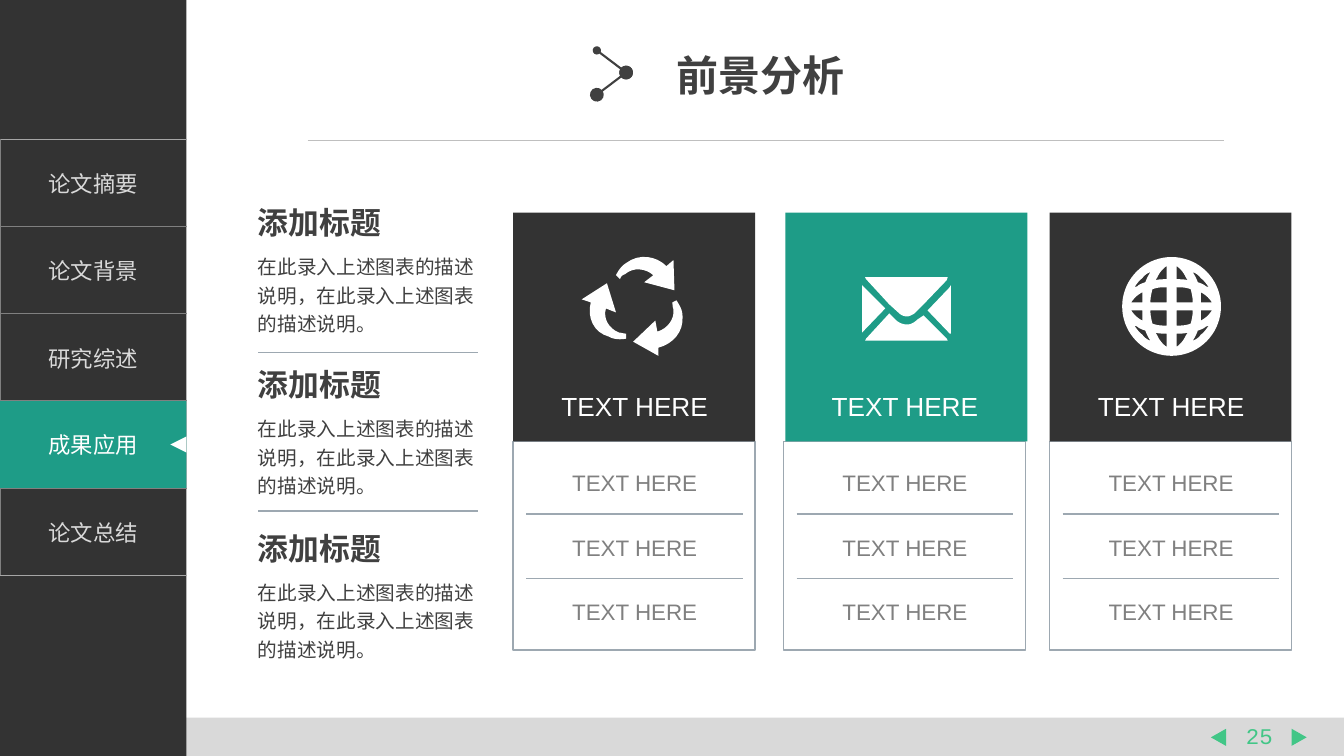
from dataclasses import dataclass
from math import cos, pi, sin

from lxml.etree import SubElement
from pptx import Presentation
from pptx.dml.color import RGBColor
from pptx.enum.shapes import MSO_CONNECTOR, MSO_SHAPE
from pptx.enum.text import MSO_ANCHOR, PP_ALIGN
from pptx.oxml.ns import qn
from pptx.util import Emu, Pt

EMU_PER_PX = 9144  # 100 px to the inch


@dataclass(frozen=True)
class Theme:
    dark: str = "333333"
    teal: str = "1E9C87"
    green: str = "42C687"
    white: str = "FFFFFF"
    ink: str = "404040"
    grey: str = "808080"
    edge: str = "A6A6A6"
    rule: str = "9DA8B1"
    title_rule: str = "BFBFBF"
    pale: str = "D9D9D9"
    han: str = "Noto Sans CJK SC"
    latin: str = "Arial"
    mono: str = "Courier New"
    title_size: float = 30
    heading_size: float = 22
    card_size: float = 18.7
    item_size: float = 16
    body_size: float = 14
    body_leading: float = 20.4


THEME = Theme()
MENU = ["论文摘要", "论文背景", "研究综述", "成果应用", "论文总结"]
BODY = "在此录入上述图表的描述说明，在此录入上述图表的描述说明。"

# A pair is a straight step, six numbers are a cubic curve.
ARROWS = [
    [(653, 353), (628, 339), (650, 318), (652, 329), (662, 326, 669, 317, 668, 307),
     (667, 304, 667, 302, 667, 300), (671, 298), (674, 303, 677, 307, 677, 314),
     (678, 329, 668, 341, 653, 345)],
    [(577, 297), (602, 281), (611, 310), (601, 306), (598, 316, 604, 326, 614, 330),
     (616, 330, 619, 331, 621, 331), (621, 336), (616, 337, 609, 337, 604, 334),
     (589, 330, 582, 315, 586, 300)],
    [(668, 258), (661, 264), (651, 254, 634, 251, 621, 261),
     (616, 264, 613, 269, 611, 273), (615, 277), (616, 274, 617, 273, 620, 272),
     (628, 265, 640, 266, 648, 273), (639, 280), (669, 288)],
]
ENVELOPE = [
    [(855, 283), (855, 330), (878, 306)],
    [(882, 302), (892, 311), (894, 313, 897, 314, 900, 314),
     (901, 314, 904, 313, 907, 311), (916, 302), (939, 278), (940, 275), (858, 275),
     (859, 277)],
    [(916, 313), (910, 317), (907, 320, 903, 322, 900, 322),
     (895, 322, 891, 320, 888, 317), (882, 311), (859, 336), (858, 338), (940, 338),
     (939, 336)],
    [(942, 285), (920, 308), (942, 331), (943, 331), (943, 283)],
]
GLOBE_CENTRE, GLOBE_RADIUS = (1162, 304), 49
GLOBE_WINDOWS = [  # one quarter, measured from the centre
    [(5, 27), (5, 40), (8, 38, 12, 34, 14, 29), (16, 26), (13, 27, 8, 27, 5, 27)],
    [(5, 4), (5, 19), (10, 19, 14, 19, 19, 17), (20, 13, 21, 9, 21, 4)],
    [(40, 4), (29, 4), (29, 14), (35, 11, 38, 7, 40, 4)],
    [(37, 19), (34, 20), (32, 22, 29, 23, 26, 24), (25, 27, 23, 31, 21, 34),
     (24, 33, 27, 31, 29, 28), (32, 26, 34, 23, 37, 19)],
]


def px(length):
    return Emu(round(length * EMU_PER_PX))


def color(code):
    return RGBColor.from_string(code)


def apply(target, values):
    for name, value in values.items():
        setattr(target, name, value)


def write(frame, text, font, size, ink, bold=False, align=PP_ALIGN.CENTER, leading=None):
    para = frame.paragraphs[0]
    apply(para, {"alignment": align, "line_spacing": leading})
    span = para.add_run()
    span.text = text
    apply(span.font, {"name": font, "size": Pt(size), "bold": bold})
    span.font.color.rgb = color(ink)
    SubElement(span.font._element, qn("a:ea"), typeface=THEME.han)


def add_text(page, area, text, font, size, ink, wrap=True, **style):
    frame = page.shapes.add_textbox(*map(px, area)).text_frame
    apply(frame, {"word_wrap": wrap, "vertical_anchor": MSO_ANCHOR.MIDDLE})
    write(frame, text, font, size, ink, **style)


def paint(shape, fill=None, line=None):
    shape.shadow.inherit = False
    for part, code in ((shape.fill, fill), (shape.line.fill, line)):
        if code:
            part.solid()
            part.fore_color.rgb = color(code)
        else:
            part.background()
    if line:
        shape.line.width = Pt(1)


def add_block(page, area, fill=None, line=None, kind=MSO_SHAPE.RECTANGLE, turn=0):
    shape = page.shapes.add_shape(kind, *map(px, area))
    shape.rotation = turn
    paint(shape, fill, line)
    return shape


def add_line(page, start, end, ink, width=1, ends=None):
    """Draw a line; ends gives the sizes of round dots at start and end."""
    line = page.shapes.add_connector(MSO_CONNECTOR.STRAIGHT, *map(px, start + end))
    line.line.color.rgb = color(ink)
    line.line.width = Pt(width)
    props = line._element.spPr
    for tag, size in zip(("a:headEnd", "a:tailEnd"), ends or ()):
        SubElement(props.find(qn("a:ln")), qn(tag), type="oval", w=size, len=size)
    SubElement(props, qn("a:effectLst"))


def flatten(contour, steps=8):
    """Turn straight steps and cubic curves into a list of points."""
    points = [contour[0]]
    for step in contour[1:]:
        if len(step) == 2:
            points.append(step)
            continue
        corners = [points[-1], step[:2], step[2:4], step[4:]]
        for t in (i / steps for i in range(1, steps + 1)):
            weights = ((1 - t) ** 3, 3 * t * (1 - t) ** 2, 3 * t * t * (1 - t), t ** 3)
            points.append(tuple(sum(w * c[axis] for w, c in zip(weights, corners))
                                for axis in (0, 1)))
    return points


def add_icon(page, contours):
    outlines = [[(px(x), px(y)) for x, y in flatten(contour)] for contour in contours]
    builder = page.shapes.build_freeform(*outlines[0][0], scale=1.0)
    for index, outline in enumerate(outlines):
        if index:
            builder.move_to(*outline[0])
        builder.add_line_segments(outline[1:], close=True)
    paint(builder.convert_to_shape(), THEME.white)


def globe_contours():
    cx, cy = GLOBE_CENTRE
    angles = [2 * pi * i / 72 for i in range(72)]
    contours = [[(cx + GLOBE_RADIUS * cos(a), cy + GLOBE_RADIUS * sin(a)) for a in angles]]
    for sx, sy in ((-1, -1), (1, -1), (1, 1), (-1, 1)):
        contours += [[(cx + sx * x, cy + sy * y) for x, y in flatten(window)]
                     for window in GLOBE_WINDOWS]
    return contours


def set_borders(cell, borders):
    """Set left, right, top and bottom border colours; None hides one."""
    props = cell._tc.get_or_add_tcPr()
    for index, (side, code) in enumerate(zip("LRTB", borders)):
        border = SubElement(props, qn(f"a:ln{side}"), w=str(Pt(1)))
        if code:
            fill = SubElement(border, qn("a:solidFill"))
            SubElement(fill, qn("a:srgbClr"), val=code)
        else:
            SubElement(border, qn("a:noFill"))
        props.insert(index, border)


def add_menu(page):
    add_block(page, (0, 0, 185, 750), THEME.dark)
    table = page.shapes.add_table(len(MENU), 1, *map(px, (0, 138, 185, 433))).table
    apply(table, {"first_row": False, "horz_banding": False})
    for index, label in enumerate(MENU):
        cell = table.cell(index, 0)
        cell.fill.background()
        cell.vertical_anchor = MSO_ANCHOR.MIDDLE
        write(cell.text_frame, label, THEME.han, THEME.item_size, THEME.pale)
        top = THEME.edge if index == 0 else THEME.grey
        bottom = THEME.edge if index == len(MENU) - 1 else THEME.grey
        set_borders(cell, (THEME.grey, None, top, bottom))
    active = add_block(page, (0, 398, 185, 86), THEME.teal).text_frame
    active.vertical_anchor = MSO_ANCHOR.MIDDLE
    write(active, MENU[3], THEME.han, THEME.item_size, THEME.white)
    add_block(page, (169, 433, 16, 16), THEME.white, kind=MSO_SHAPE.ISOSCELES_TRIANGLE, turn=270)


def add_footer(page):
    add_block(page, (0, 712, 1333, 38), THEME.pale)
    add_text(page, (1225, 711, 48, 37), "25", THEME.mono, THEME.item_size, THEME.green, wrap=False)
    for left, turn in ((1200, 270), (1280, 90)):
        add_block(page, (left, 724, 17, 15), THEME.green,
                  kind=MSO_SHAPE.ISOSCELES_TRIANGLE, turn=turn)


def add_title(page):
    add_line(page, (305, 139), (1214, 139), THEME.title_rule, 0.5)
    add_text(page, (661, 44, 188, 61), "前景分析", THEME.latin, THEME.title_size, THEME.ink,
             wrap=False, bold=True, align=PP_ALIGN.LEFT)
    add_line(page, (592, 50), (621, 72), THEME.ink, 1.5, ("med", "lg"))
    add_line(page, (621, 72), (592, 94), THEME.ink, 1.5, ("lg", "lg"))


def add_note(page, top):
    add_text(page, (246, top, 161, 47), "添加标题", THEME.han, THEME.heading_size, THEME.ink,
             bold=True, align=PP_ALIGN.LEFT)
    add_text(page, (246, top + 46, 248, 95), BODY, THEME.han, THEME.body_size, THEME.ink,
             align=PP_ALIGN.LEFT, leading=Pt(THEME.body_leading))


def add_card(page, left, head_left, fill, icon):
    add_block(page, (left, 438, 240, 207), line=THEME.rule)
    inner, label = left + 13, "TEXT HERE"
    for row in range(3):
        top = 459 + 64 * row
        add_text(page, (inner, top, 215, 40), label, THEME.latin, THEME.item_size, THEME.grey)
        if row < 2:
            add_line(page, (inner, top + 51), (inner + 215, top + 51), THEME.rule)
    add_block(page, (head_left, 211, 240, 227), fill)
    add_text(page, (inner, 382, 215, 42), label, THEME.latin, THEME.card_size, THEME.white)
    add_icon(page, icon)


def main():
    deck = Presentation()
    apply(deck, {"slide_width": px(1333), "slide_height": px(750)})
    page = deck.slides.add_slide(deck.slide_layouts[6])
    add_footer(page)
    add_menu(page)
    add_title(page)
    for top in (197, 358, 520):
        add_note(page, top)
    for y in (350, 507):
        add_line(page, (256, y), (474, y), THEME.rule)
    add_card(page, 509, 509, THEME.dark, ARROWS)
    add_card(page, 777, 779, THEME.teal, ENVELOPE)
    add_card(page, 1041, 1041, THEME.dark, globe_contours())
    deck.save("out.pptx")


if __name__ == "__main__":
    main()
